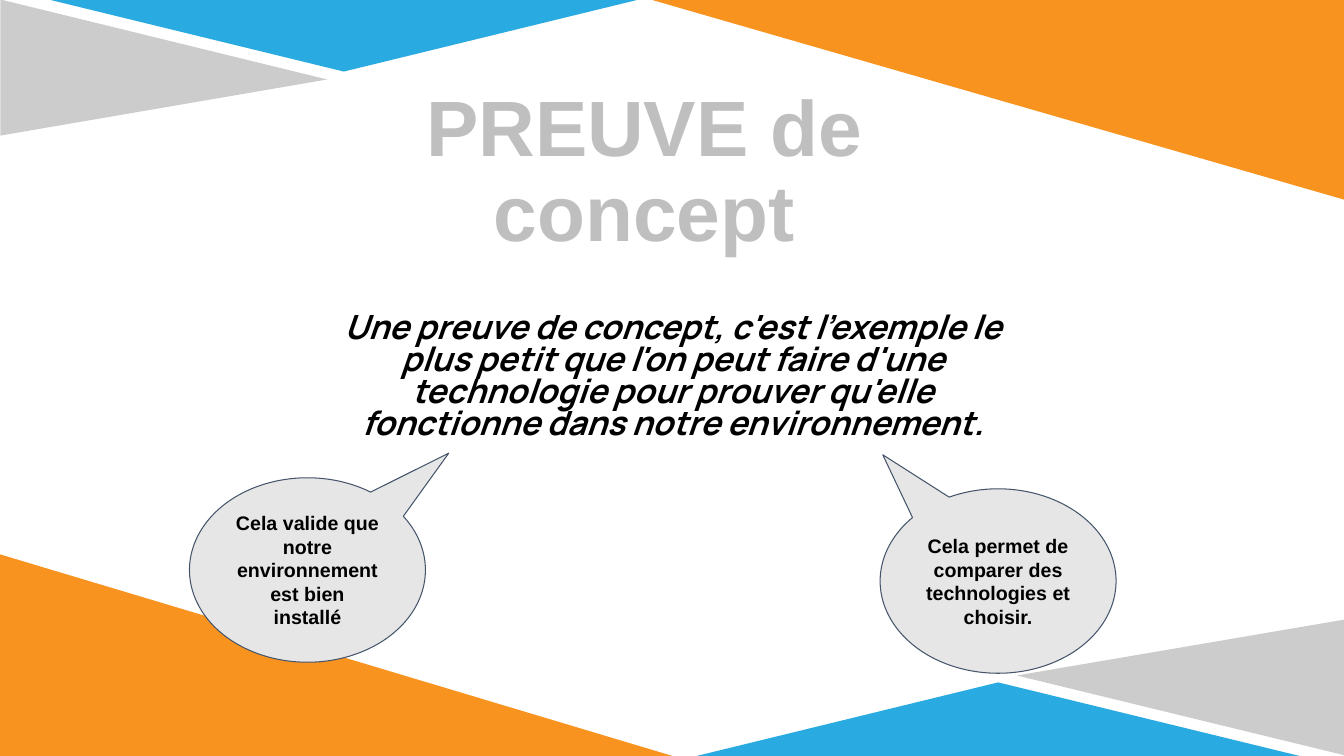
from pptx import Presentation
from pptx.dml.color import RGBColor
from pptx.enum import shapes, text
from pptx.oxml import ns
from pptx.util import Inches, Pt

TITLE = "PREUVE de concept"
DEFINITION = (
    "Une preuve de concept, c'est l’exemple le plus petit que l'on peut faire "
    "d'une technologie pour prouver qu'elle fonctionne dans notre environnement."
)
CALLOUTS = [
    ("Cela valide que notre environnement est bien installé", (1.88, 4.74), (0.599, -0.634)),
    ("Cela permet de comparer des technologies et choisir.", (8.73, 4.85), (-0.489, -0.685)),
]
CALLOUT_SIZE = (2.34, 1.83)

TRIANGLE = shapes.MSO_SHAPE.ISOSCELES_TRIANGLE
CORNER = shapes.MSO_SHAPE.RIGHT_TRIANGLE
DECORATIONS = [
    (TRIANGLE, (0.95, -0.95, 1.35, 3.24), 90, 0.588, "grey"),
    (TRIANGLE, (0.42, -0.02, 5.98, 0.73), 180, 0.5, "blue"),
    (TRIANGLE, (11.04, 5.19, 1.35, 3.26), 270, 0.588, "grey"),
    (TRIANGLE, (6.91, 6.77, 5.98, 0.73), 0, 0.5, "blue"),
    (CORNER, (0, 5.5, 6.67, 2), 0, None, "orange"),
    (CORNER, (6.4, -0.02, 6.93, 2), 180, None, "orange"),
]

THEME = {
    "grey": "CCCCCC", "blue": "29ABE2", "orange": "F7931E",
    "title": "BFBFBF", "ink": "000000", "bubble": "E7E6E6", "outline": "44546A",
    "title_size": 56, "definition_size": 23.8, "callout_size": 14,
    "font": "Arial", "definition_font": "Manrope",
}


def color(name):
    return RGBColor.from_string(THEME[name])


def place(box, left, top, width, height):
    box.left, box.top = Inches(left), Inches(top)
    box.width, box.height = Inches(width), Inches(height)


def write(box, words, size, ink="ink", font="font", italic=False, spacing=1.0):
    frame = box.text_frame
    frame.word_wrap = True
    frame.auto_size = text.MSO_AUTO_SIZE.NONE
    frame.vertical_anchor = text.MSO_ANCHOR.MIDDLE
    frame.margin_left = frame.margin_right = Inches(0.1)
    frame.margin_top = frame.margin_bottom = Inches(0.1)
    para = frame.paragraphs[0]
    para.alignment = text.PP_ALIGN.CENTER
    para.line_spacing = spacing
    para.space_before = Pt(0)
    span = para.add_run()
    span.text = words
    span.font.name = THEME[font]
    span.font.size = Pt(THEME[size])
    span.font.bold = True
    span.font.italic = italic
    span.font.color.rgb = color(ink)
    return para


def add_filled(page, kind, area, fill):
    shape = page.shapes.add_shape(kind, *map(Inches, area))
    shape.shadow.inherit = False
    shape.fill.solid()
    shape.fill.fore_color.rgb = color(fill)
    shape.line.fill.background()
    return shape


def add_decorations(page):
    title_element = page.shapes.title.element
    for kind, area, turn, apex, fill in DECORATIONS:
        shape = add_filled(page, kind, area, fill)
        shape.rotation = turn
        if apex is not None:
            shape.adjustments[0] = apex
        title_element.addprevious(shape.element)


def add_callout(page, words, corner, tip):
    bubble = add_filled(page, shapes.MSO_SHAPE.OVAL_CALLOUT, corner + CALLOUT_SIZE, "bubble")
    bubble.adjustments[0], bubble.adjustments[1] = tip
    bubble.line.color.rgb = color("outline")
    bubble.line.width = Pt(0.75)
    write(bubble, words, "callout_size")


def main():
    deck = Presentation()
    deck.slide_width, deck.slide_height = Inches(13.33), Inches(7.5)
    page = deck.slides.add_slide(deck.slide_layouts[1])
    add_decorations(page)

    title, body = page.shapes.title, page.placeholders[1]
    place(title, 2.98, 0.84, 6.82, 1.76)
    write(title, TITLE, "title_size", ink="title", spacing=0.9)
    place(body, 3.25, 3.15, 6.84, 1.19)
    para = write(body, DEFINITION, "definition_size", font="definition_font",
                 italic=True, spacing=0.8)
    settings = para._p.get_or_add_pPr()
    settings.set("marL", "0")
    settings.set("indent", "0")
    settings.append(settings.makeelement(ns.qn("a:buNone"), {}))

    for words, corner, tip in CALLOUTS:
        add_callout(page, words, corner, tip)
    deck.save("out.pptx")


if __name__ == "__main__":
    main()
